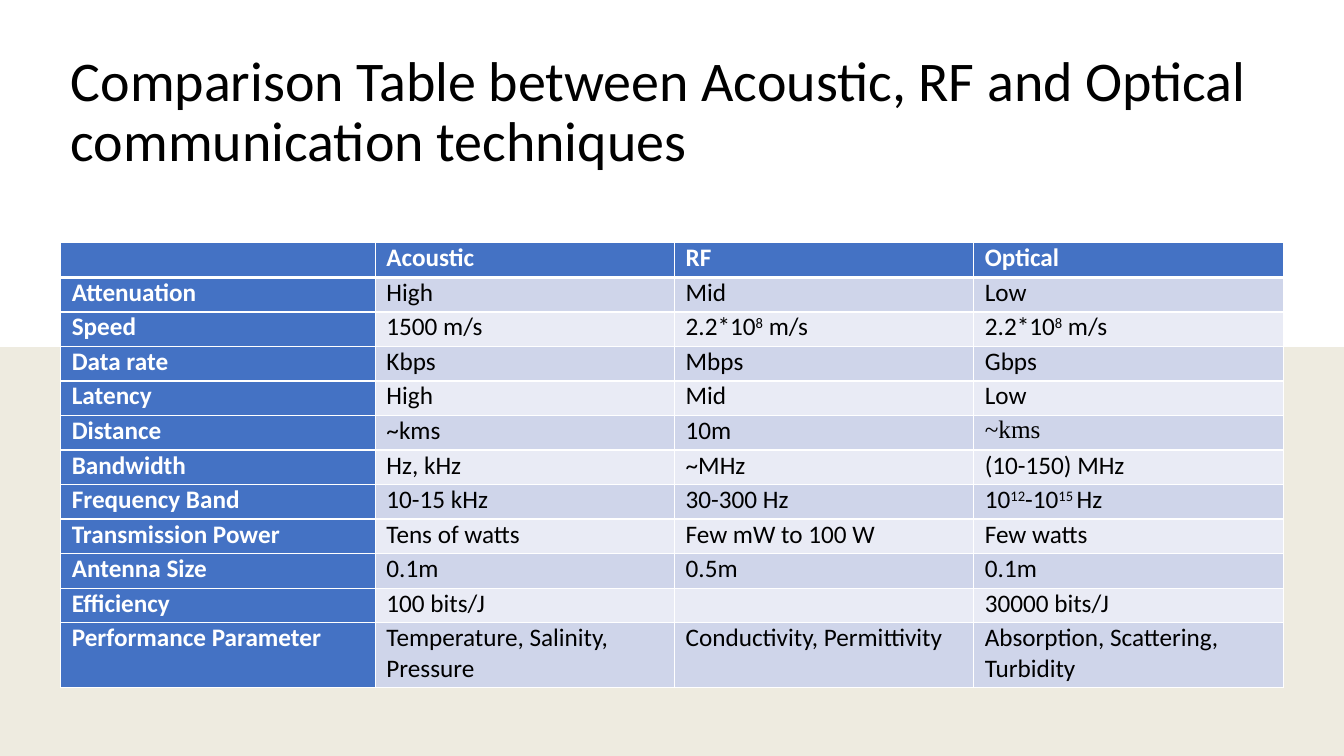
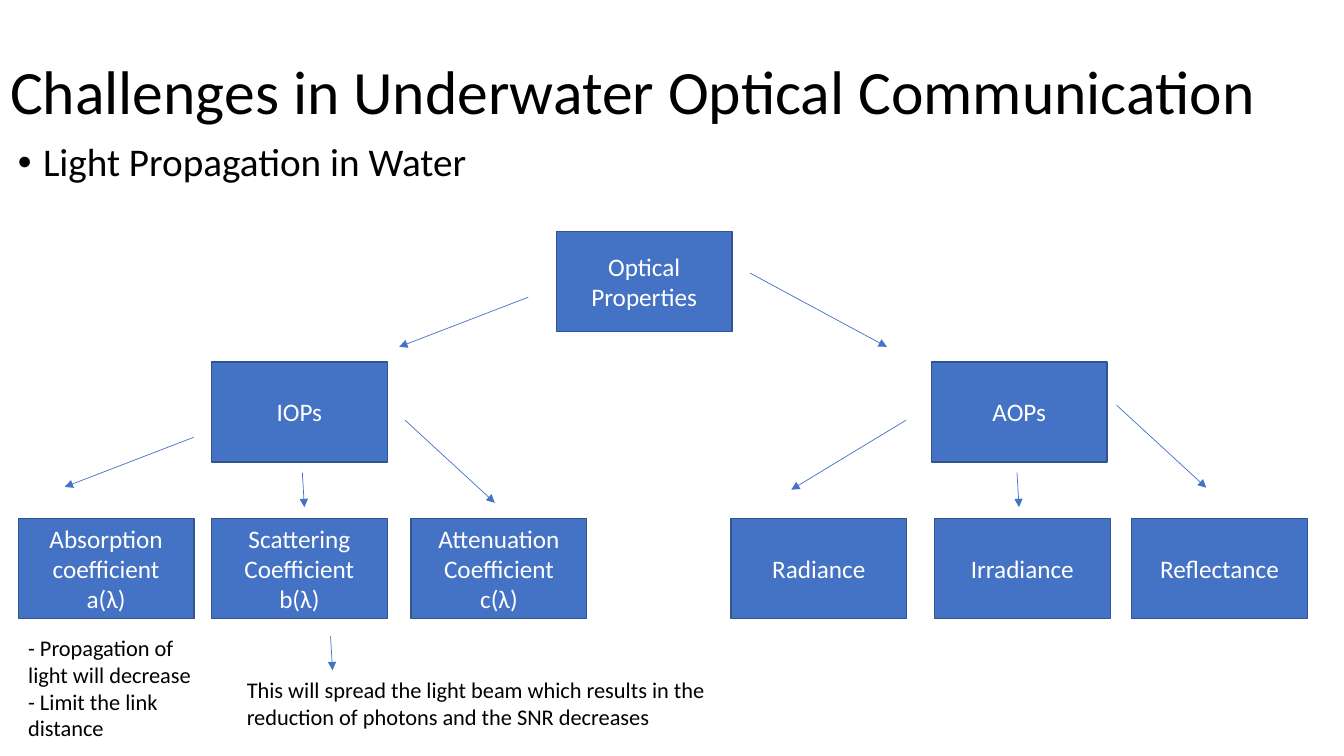
import pptx
import pptx.dml.color
import pptx.enum.shapes
import pptx.enum.text
import pptx.oxml
import pptx.oxml.ns
import pptx.util
from pptx.util import Cm

COLORS = {
    "white": "FFFFFF",
    "black": "000000",
    "blue": "4472C4",
    "outline": "325491",
    "odd_row": "CFD5EA",
    "even_row": "E9EBF5",
    "backdrop": "F2F2F2",
    "tint": "BF9000",
}
FONT = "Calibri"
SLIDE_W, SLIDE_H = 33.87, 19.05
TITLE_TOP = 1.02
BOX_W, BOX_H = 4.43, 2.52

COMPARISON = [
    ["", "Acoustic", "RF", "Optical"],
    ["Attenuation", "High", "Mid", "Low"],
    ["Speed", "1500 m/s", "2.2*10^8^ m/s", "2.2*10^8^ m/s"],
    ["Data rate", "Kbps", "Mbps", "Gbps"],
    ["Latency", "High", "Mid", "Low"],
    ["Distance", "~kms", "10m", "~kms"],
    ["Bandwidth", "Hz, kHz", "~MHz", "(10-150) MHz"],
    ["Frequency Band", "10-15 kHz", "30-300 Hz", "10^12^-10^15 ^Hz"],
    ["Transmission Power", "Tens of watts", "Few mW to 100 W", "Few watts"],
    ["Antenna Size", "0.1m", "0.5m", "0.1m"],
    ["Efficiency", "100 bits/J", "", "30000 bits/J"],
    ["Performance Parameter", "Temperature, Salinity, Pressure",
     "Conductivity, Permittivity", "Absorption, Scattering, Turbidity"],
]
COLUMN_WIDTHS = [7.93, 7.54, 7.54, 7.8]
ROW_HEIGHT, LAST_ROW_HEIGHT = 0.87, 1.63

PROPERTY_LEVELS = [
    (5.84, [(14.02, "Optical Properties")]),
    (9.12, [(5.33, "IOPs"), (23.47, "AOPs")]),
    (13.06, [
        (0.46, "Absorption coefficient\na(λ)"),
        (5.33, "Scattering\nCoefficient\nb(λ)"),
        (10.36, "Attenuation\nCoefficient\nc(λ)"),
        (18.42, "Radiance"),
        (23.55, "Irradiance"),
        (28.52, "Reflectance"),
    ]),
]
ARROWS = [
    (13.31, 7.49, 10.06, 8.74),
    (18.9, 6.88, 22.35, 8.74),
    (4.88, 11.02, 1.63, 12.27),
    (7.62, 11.91, 7.67, 12.78),
    (10.21, 10.59, 12.47, 12.67),
    (22.83, 10.59, 19.94, 12.34),
    (25.63, 11.91, 25.68, 12.78),
    (28.14, 10.21, 30.4, 12.29),
    (8.33, 16.03, 8.38, 16.89),
]


def rgb(color):
    return pptx.dml.color.RGBColor.from_string(COLORS[color])


def xml(tag, content="", attributes=""):
    return pptx.oxml.parse_xml(
        f'<a:{tag} {pptx.oxml.ns.nsdecls("a")} {attributes}>{content}</a:{tag}>')


def paint(target, color):
    target.fill.solid()
    target.fill.fore_color.rgb = rgb(color)


def style_text(frame, size, color, bold=False, align=None, spacing=None):
    for paragraph in frame.paragraphs:
        if align is not None:
            paragraph.alignment = align
        if spacing is not None:
            paragraph.line_spacing = spacing
        for run in paragraph.runs:
            run.font.name = FONT
            run.font.size = pptx.util.Pt(size)
            run.font.bold = bold
            run.font.color.rgb = rgb(color)


def add_titled_slide(deck, title, left, width, height, size):
    slide = deck.slides.add_slide(deck.slide_layouts[5])
    heading = slide.shapes.title
    heading.left, heading.top = Cm(left), Cm(TITLE_TOP)
    heading.width, heading.height = Cm(width), Cm(height)
    frame = heading.text_frame
    frame.text = title
    frame.auto_size = pptx.enum.text.MSO_AUTO_SIZE.NONE
    frame.vertical_anchor = pptx.enum.text.MSO_ANCHOR.MIDDLE
    style_text(frame, size, "black", align=pptx.enum.text.PP_ALIGN.LEFT, spacing=0.9)
    return slide


def add_rectangle(slide, left, top, width, height, color):
    rectangle = slide.shapes.add_shape(
        pptx.enum.shapes.MSO_SHAPE.RECTANGLE,
        Cm(left), Cm(top), Cm(width), Cm(height))
    rectangle.shadow.inherit = False
    rectangle.line.fill.background()
    paint(rectangle, color)
    return rectangle


def add_backdrop(slide):
    add_rectangle(slide, 0, 0, SLIDE_W, SLIDE_H, "backdrop")
    tint = add_rectangle(slide, 0, 0, SLIDE_W, SLIDE_H, "tint")
    tint_color = tint.element.find(".//" + pptx.oxml.ns.qn("a:srgbClr"))
    tint_color.append(xml("alpha", attributes='val="7000"'))
    add_rectangle(slide, 0, 0, SLIDE_W, 8.74, "white")
    heading = slide.shapes.title.element
    heading.getparent().append(heading)


def add_property_box(slide, left, top, label):
    box = add_rectangle(slide, left, top, BOX_W, BOX_H, "blue")
    box.line.color.rgb = rgb("outline")
    box.line.width = pptx.util.Pt(1)
    box.text_frame.text = label
    box.text_frame.word_wrap = True
    box.text_frame.vertical_anchor = pptx.enum.text.MSO_ANCHOR.MIDDLE
    style_text(box.text_frame, 18, "white", align=pptx.enum.text.PP_ALIGN.CENTER)


def add_arrow(slide, *ends):
    arrow = slide.shapes.add_connector(
        pptx.enum.shapes.MSO_CONNECTOR.STRAIGHT, *map(Cm, ends))
    arrow.line.color.rgb = rgb("blue")
    arrow.line.width = pptx.util.Pt(0.5)
    arrow.line.fill._xPr.append(xml("tailEnd", attributes='type="triangle"'))
    arrow.element.spPr.append(xml("effectLst"))


def add_note(slide, left, top, width, height, text, size, spacing=None):
    note = slide.shapes.add_textbox(Cm(left), Cm(top), Cm(width), Cm(height))
    note.text_frame.word_wrap = True
    note.text_frame.text = text
    style_text(note.text_frame, size, "black", spacing=spacing)
    return note


def add_bullet(paragraph):
    paragraph.space_before = pptx.util.Pt(10)
    properties = paragraph._p.get_or_add_pPr()
    properties.set("marL", "228600")
    properties.set("indent", "-228600")
    properties.append(xml("buFont", attributes='typeface="Arial"'))
    properties.append(xml("buChar", attributes='char="•"'))


def set_borders(cell, bottom_width):
    properties = cell._tc.get_or_add_tcPr()
    fill = f'<a:solidFill><a:srgbClr val="{COLORS["white"]}"/></a:solidFill>'
    widths = [("lnL", 1), ("lnR", 1), ("lnT", 1), ("lnB", bottom_width)]
    for position, (side, width) in enumerate(widths):
        properties.insert(position, xml(side, fill, f'w="{pptx.util.Pt(width)}"'))


def fill_cell(cell, text, is_label, color):
    cell.margin_left = cell.margin_right = Cm(0.28)
    cell.margin_top = cell.margin_bottom = 0
    paint(cell, color)
    paragraph = cell.text_frame.paragraphs[0]
    for index, part in enumerate(text.split("^")):
        if part:
            run = paragraph.add_run()
            run.text = part
            if index % 2:
                run._r.get_or_add_rPr().set("baseline", "30000")
    style_text(cell.text_frame, 18, "white" if is_label else "black", bold=is_label)


def add_comparison_table(slide):
    heights = [ROW_HEIGHT] * (len(COMPARISON) - 1) + [LAST_ROW_HEIGHT]
    table = slide.shapes.add_table(
        len(heights), len(COLUMN_WIDTHS), Cm(1.53), Cm(6.12),
        Cm(sum(COLUMN_WIDTHS)), Cm(sum(heights))).table
    for column, width in zip(table.columns, COLUMN_WIDTHS):
        column.width = Cm(width)
    for row_index, (row, height) in enumerate(zip(table.rows, heights)):
        row.height = Cm(height)
        band = "odd_row" if row_index % 2 else "even_row"
        for column_index, text in enumerate(COMPARISON[row_index]):
            is_label = row_index == 0 or column_index == 0
            cell = table.cell(row_index, column_index)
            fill_cell(cell, text, is_label, "blue" if is_label else band)
            set_borders(cell, 1 if row_index else 3)
    optical_distance = table.cell(5, 3).text_frame.paragraphs[0].runs[0]
    optical_distance.font.name = "Times New Roman"


def build_comparison(deck):
    slide = add_titled_slide(
        deck, "Comparison Table between Acoustic, RF and Optical communication techniques",
        1.53, 30.81, 3.68, 40)
    add_backdrop(slide)
    add_comparison_table(slide)


def build_challenges(deck):
    slide = add_titled_slide(
        deck, "Challenges in Underwater Optical Communication", 0, SLIDE_W, 2.74, 44)
    topic = add_note(slide, 0.2, 3.48, 29.21, 1.5, "Light Propagation in Water", 28, 0.9)
    add_bullet(topic.text_frame.paragraphs[0])
    for top, properties in PROPERTY_LEVELS:
        for left, label in properties:
            add_property_box(slide, left, top, label)
    for ends in ARROWS:
        add_arrow(slide, *ends)
    add_note(slide, 0.46, 15.85, 4.88, 3,
             "- Propagation of light will decrease\n- Limit the link distance", 16)
    add_note(slide, 5.97, 16.92, 13.64, 1.63,
             "This will spread the light beam which results in the "
             "reduction of photons and the SNR decreases", 16)


def main():
    deck = pptx.Presentation()
    deck.slide_width, deck.slide_height = Cm(SLIDE_W), Cm(SLIDE_H)
    build_comparison(deck)
    build_challenges(deck)
    deck.save("out.pptx")


if __name__ == "__main__":
    main()
